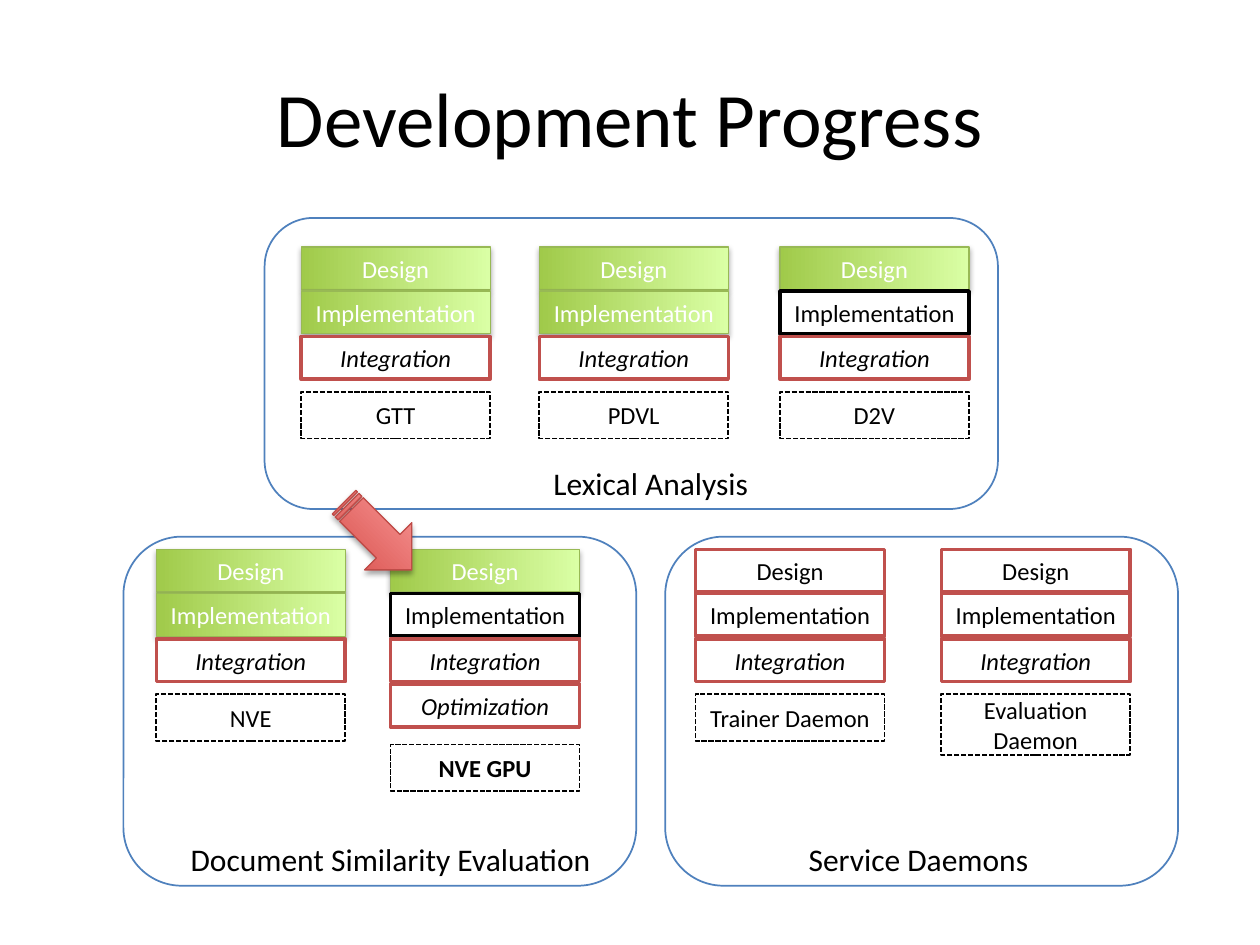
"""Build the development progress slide with its panels of staged modules."""
from dataclasses import dataclass
from typing import Optional

from lxml.etree import SubElement
from pptx import Presentation
from pptx.dml.color import RGBColor
from pptx.enum.dml import MSO_LINE
from pptx.enum.shapes import MSO_SHAPE as Preset
from pptx.enum.text import MSO_ANCHOR as Anchor, MSO_AUTO_SIZE as AutoSize, PP_ALIGN as Align
from pptx.oxml.ns import qn
from pptx.util import Inches, Pt

COLORS = {
    "black": "000000", "white": "FFFFFF", "blue": "4F81BD", "red": "C0504D",
    "green line": "98B955", "green dark": "A0CA4A", "green light": "DAFFA5",
    "arrow line": "BF4C48", "arrow dark": "D1403C", "arrow light": "FFA6A5",
}
FONT = "Calibri"
STAGES = ("Design", "Implementation", "Integration", "Optimization")
STAGE_OFFSETS = (0, 0.35, 0.71, 1.07)
BOX_WIDTH, STAGE_HEIGHT = 1.5, 0.34
UPPER_ROW, LOWER_ROW = 1.96, 4.36


@dataclass(frozen=True)
class Area:
    left: float
    top: float
    width: float
    height: float

    def lengths(self) -> tuple:
        return tuple(Inches(n) for n in (self.left, self.top, self.width, self.height))


@dataclass(frozen=True)
class Panel:
    area: Area
    caption: str
    caption_area: Area


@dataclass(frozen=True)
class Status:
    line: str
    weight: float
    text: str = "black"
    gradient: Optional[tuple] = None


@dataclass(frozen=True)
class Module:
    name: str
    left: float
    top: float
    statuses: tuple
    label_height: float = 0.37
    bold: bool = False


DONE = Status("green line", 0.75, "white", ("green dark", "green light"))
ACTIVE = Status("black", 2)
PENDING = Status("red", 2)
ARROW = Status("arrow line", 0.75, gradient=("arrow dark", "arrow light"))

PANELS = (
    Panel(Area(5.28, 4.26, 4.07, 2.77), "Service Daemons", Area(6.31, 6.62, 1.96, 0.4)),
    Panel(Area(0.98, 4.26, 4.07, 2.77), "Document Similarity Evaluation",
          Area(1.39, 6.62, 3.42, 0.4)),
    Panel(Area(2.1, 1.73, 5.82, 2.31), "Lexical Analysis", Area(4.28, 3.63, 1.77, 0.4)),
)
MODULES = (
    Module("GTT", 2.39, UPPER_ROW, (DONE, DONE, PENDING)),
    Module("PDVL", 4.28, UPPER_ROW, (DONE, DONE, PENDING)),
    Module("D2V", 6.19, UPPER_ROW, (DONE, ACTIVE, PENDING)),
    Module("NVE", 1.24, LOWER_ROW, (DONE, DONE, PENDING)),
    Module("NVE GPU", 3.1, LOWER_ROW, (DONE, ACTIVE, PENDING, PENDING), bold=True),
    Module("Trainer Daemon", 5.52, LOWER_ROW, (PENDING,) * 3),
    Module("Evaluation Daemon", 7.47, LOWER_ROW, (PENDING,) * 3, label_height=0.48),
)


def rgb(name: str) -> RGBColor:
    return RGBColor.from_string(COLORS[name])


def write_text(frame, text: str, *, size: float = 14, color: str = "black", bold: bool = False,
               italic: bool = False, anchor=Anchor.MIDDLE, wrap: bool = True) -> None:
    frame.word_wrap = wrap
    frame.vertical_anchor = anchor
    para = frame.paragraphs[0]
    para.alignment = Align.CENTER
    span = para.add_run()
    span.text = text
    font = span.font
    font.name, font.size, font.bold, font.italic = FONT, Pt(size), bold, italic
    font.color.rgb = rgb(color)


def add_shadow(shape) -> None:
    effects = shape._element.spPr.find(qn("a:effectLst"))
    shadow = SubElement(effects, qn("a:outerShdw"), blurRad="40000", dist="23000",
                        dir="5400000", rotWithShape="0")
    color = SubElement(shadow, qn("a:srgbClr"), val=COLORS["black"])
    SubElement(color, qn("a:alpha"), val="35000")


def draw_shape(slide, preset, area: Area, status: Status, rotation: float = 0):
    shape = slide.shapes.add_shape(preset, *area.lengths())
    shape.rotation = rotation
    shape.shadow.inherit = False
    shape.line.color.rgb = rgb(status.line)
    shape.line.width = Pt(status.weight)
    if status.gradient:
        shape.fill.gradient()
        shape.fill.gradient_angle = 90
        for stop, name, position in zip(shape.fill.gradient_stops, status.gradient, (0, 1)):
            stop.color.rgb = rgb(name)
            stop.position = position
        add_shadow(shape)
    else:
        shape.fill.solid()
        shape.fill.fore_color.rgb = rgb("white")
    return shape


def draw_stage(slide, stage: str, left: float, top: float, status: Status) -> None:
    shift = (BOX_WIDTH - STAGE_HEIGHT) / 2
    area = Area(left + shift, top - shift, STAGE_HEIGHT, BOX_WIDTH)
    box = draw_shape(slide, Preset.RECTANGLE, area, status, rotation=90)
    box.text_frame._txBody.bodyPr.set("vert", "vert270")
    write_text(box.text_frame, stage, color=status.text,
               italic=stage in ("Integration", "Optimization"))


def draw_module(slide, module: Module) -> None:
    for stage, offset, status in zip(STAGES, STAGE_OFFSETS, module.statuses):
        draw_stage(slide, stage, module.left, module.top + offset, status)
    label_top = module.top + 1.15 + 0.4 * (len(module.statuses) - 3)
    area = Area(module.left, label_top, BOX_WIDTH, module.label_height)
    label = draw_shape(slide, Preset.RECTANGLE, area, Status("black", 1))
    label.line.dash_style = MSO_LINE.SQUARE_DOT
    write_text(label.text_frame, module.name, bold=module.bold)


def draw_caption(slide, panel: Panel) -> None:
    frame = slide.shapes.add_textbox(*panel.caption_area.lengths()).text_frame
    write_text(frame, panel.caption, size=18, anchor=Anchor.TOP, wrap=False)
    frame.auto_size = AutoSize.SHAPE_TO_FIT_TEXT


def main() -> None:
    deck = Presentation()
    deck.slide_width, deck.slide_height = Inches(10), Inches(7.5)
    page = deck.slides.add_slide(deck.slide_layouts[5])
    title = page.shapes.title
    title.left, title.top, title.width, title.height = Area(0.5, 0.3, 9, 1.25).lengths()
    write_text(title.text_frame, "Development Progress", size=44)
    for panel in PANELS:
        draw_shape(page, Preset.ROUNDED_RECTANGLE, panel.area, Status("blue", 1))
    for module in MODULES:
        draw_module(page, module)
    for panel in PANELS:
        draw_caption(page, panel)
    draw_shape(page, Preset.STRIPED_RIGHT_ARROW, Area(2.62, 3.99, 0.76, 0.53), ARROW, rotation=45)
    deck.save("out.pptx")


if __name__ == "__main__":
    main()
